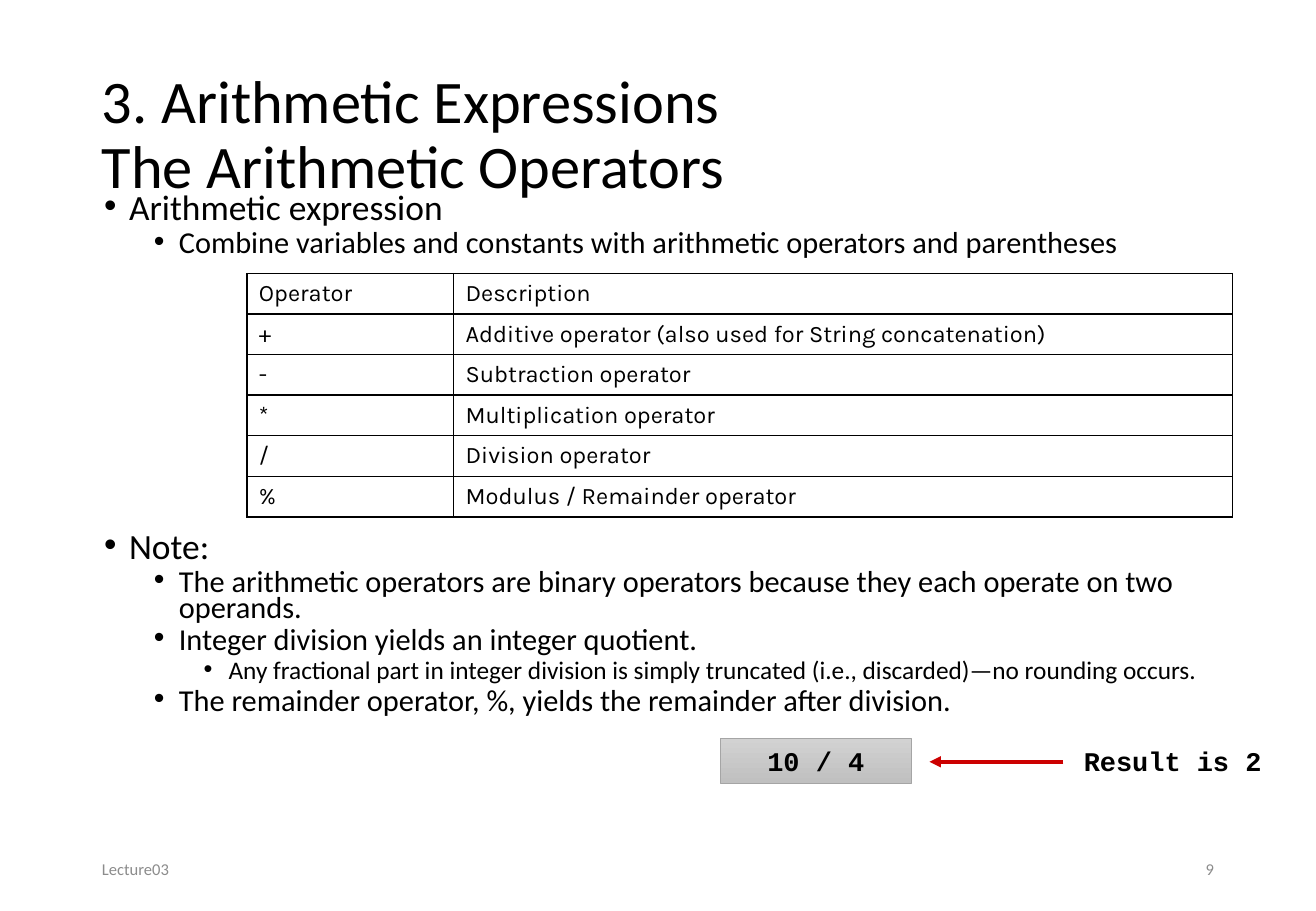
import pptx
import pptx.dml.color
import pptx.enum.shapes
import pptx.enum.text
import pptx.oxml.ns
import pptx.util
from lxml import etree

Cm, Pt = pptx.util.Cm, pptx.util.Pt
RGBColor = pptx.dml.color.RGBColor
Align, Anchor = pptx.enum.text.PP_ALIGN, pptx.enum.text.MSO_ANCHOR
qn = pptx.oxml.ns.qn

BLACK = RGBColor(0x00, 0x00, 0x00)
FOOTER_GREY = RGBColor(0x8C, 0x8C, 0x8C)
BOX_LIGHT = RGBColor(0xD2, 0xD2, 0xD2)
BOX_DARK = RGBColor(0xC0, 0xC0, 0xC0)
BOX_EDGE = RGBColor(0xA5, 0xA5, 0xA5)
ARROW_RED = RGBColor(0xCC, 0x00, 0x00)

TITLE_LINES = ["3. Arithmetic Expressions", "The Arithmetic Operators"]
TABLE_GAP = 164  # points kept free above "Note:" for the table
# level, text, space before in points
BULLETS = [
    (0, "Arithmetic expression", 8.1),
    (1, "Combine variables and constants with arithmetic operators and parentheses", 4.1),
    (0, "Note:", TABLE_GAP),
    (1, "The arithmetic operators are binary operators because they each operate on two operands.", 4.1),
    (1, "Integer division yields an integer quotient.", 4.1),
    (2, "Any fractional part in integer division is simply truncated "
        "(i.e., discarded)—no rounding occurs.", 4.1),
    (1, "The remainder operator, %, yields the remainder after division.", 4.1),
]
OPERATORS = [
    ("Operator", "Description"),
    ("+", "Additive operator (also used for String concatenation)"),
    ("-", "Subtraction operator"),
    ("*", "Multiplication operator"),
    ("/", "Division operator"),
    ("%", "Modulus / Remainder operator"),
]


class LectureSlide:
    body_font, code_font, table_font = "Calibri", "Courier New", "Karla"
    level_sizes = (21, 18, 15)

    def __init__(self, slide):
        self.slide = slide
        self.shapes = slide.shapes

    def add_run(self, paragraph, text, size, font=body_font, color=BLACK, bold=False):
        run = paragraph.add_run()
        run.text = text
        run.font.name, run.font.size = font, Pt(size)
        run.font.color.rgb, run.font.bold = color, bold

    def frame(self, left, top, width, height, anchor=Anchor.TOP):
        """Add a wrapping text box and return its text frame."""
        box = self.shapes.add_textbox(Cm(left), Cm(top), Cm(width), Cm(height))
        box.text_frame.word_wrap = True
        box.text_frame.vertical_anchor = anchor
        return box.text_frame

    def title(self, lines, *place):
        heading = self.frame(*place, anchor=Anchor.MIDDLE).paragraphs[0]
        heading.line_spacing = 0.9
        for number, line in enumerate(lines):
            if number:
                heading.add_line_break()
            self.add_run(heading, line, 35.8)

    def bullets(self, items, *place):
        body = self.frame(*place)
        for number, (level, text, before) in enumerate(items):
            point = body.add_paragraph() if number else body.paragraphs[0]
            point.level, point.line_spacing, point.space_before = level, 0.7, Pt(before)
            properties = point._p.get_or_add_pPr()
            properties.set("marL", str(Cm(0.52 + 1.04 * level)))
            properties.set("indent", str(-Cm(0.52)))
            etree.SubElement(properties, qn("a:buFont"), typeface="Arial")
            etree.SubElement(properties, qn("a:buChar"), char="•")
            self.add_run(point, text, self.level_sizes[level])

    def footer(self, text, left, align):
        line = self.frame(left, 17.65, 6.2, 1.02, Anchor.MIDDLE).paragraphs[0]
        line.alignment = align
        self.add_run(line, text, 9.8, color=FOOTER_GREY)

    def code(self, text_frame, text):
        line = text_frame.paragraphs[0]
        line.alignment = Align.CENTER
        self.add_run(line, text, 16, self.code_font, bold=True)

    def code_label(self, text, *place):
        self.code(self.frame(*place), text)

    def code_box(self, text, left, top, width, height):
        box = self.shapes.add_shape(pptx.enum.shapes.MSO_SHAPE.RECTANGLE,
                                    Cm(left), Cm(top), Cm(width), Cm(height))
        box.shadow.inherit = False
        box.fill.gradient()
        box.fill.gradient_angle = 270
        for stop, color in zip(box.fill.gradient_stops, (BOX_LIGHT, BOX_DARK)):
            stop.color.rgb = color
        box.line.color.rgb, box.line.width = BOX_EDGE, Pt(0.5)
        self.code(box.text_frame, text)

    def arrow(self, start, end, y):
        arrow = self.shapes.add_connector(pptx.enum.shapes.MSO_CONNECTOR.STRAIGHT,
                                          Cm(start), Cm(y), Cm(end), Cm(y))
        arrow.line.color.rgb, arrow.line.width = ARROW_RED, Pt(2.25)
        etree.SubElement(arrow.line._get_or_add_ln(), qn("a:tailEnd"), type="triangle")
        etree.SubElement(arrow._element.spPr, qn("a:effectLst"))

    def border(self, cell):
        properties = cell._tc.get_or_add_tcPr()
        for position, side in enumerate(("lnL", "lnR", "lnT", "lnB")):
            line = etree.Element(qn(f"a:{side}"), w=str(Pt(1)))
            fill = etree.SubElement(line, qn("a:solidFill"))
            etree.SubElement(fill, qn("a:srgbClr"), val=str(BLACK))
            properties.insert(position, line)

    def table(self, rows, left, top, widths, row_height):
        table = self.shapes.add_table(len(rows), len(widths), Cm(left), Cm(top),
                                      Cm(sum(widths)), Cm(row_height * len(rows))).table
        table.first_row = table.horz_banding = False
        for column, width in zip(table.columns, widths):
            column.width = Cm(width)
        for cell, text in zip(table.iter_cells(), (text for row in rows for text in row)):
            cell.fill.background()
            cell.vertical_anchor = Anchor.MIDDLE
            self.add_run(cell.text_frame.paragraphs[0], text, 14, self.table_font)
            self.border(cell)


def main():
    deck = pptx.Presentation()
    deck.slide_width, deck.slide_height = Cm(27.51), Cm(19.05)
    lecture = LectureSlide(deck.slides.add_slide(deck.slide_layouts[6]))
    lecture.title(TITLE_LINES, 1.88, 1.02, 23.72, 3.68)
    lecture.bullets(BULLETS, 1.93, 3.99, 23.72, 12.09)
    lecture.footer("Lecture03", 1.88, Align.LEFT)
    lecture.footer("9", 19.43, Align.RIGHT)
    lecture.table(OPERATORS, 5.16, 5.72, (4.32, 16.28), 0.83)
    lecture.arrow(22.23, 19.43, 15.93)
    lecture.code_label("Result is 2", 22.33, 15.44, 4.37, 0.94)
    lecture.code_box("10 / 4", 15.06, 15.44, 3.99, 0.94)
    deck.save("out.pptx")


if __name__ == "__main__":
    main()
